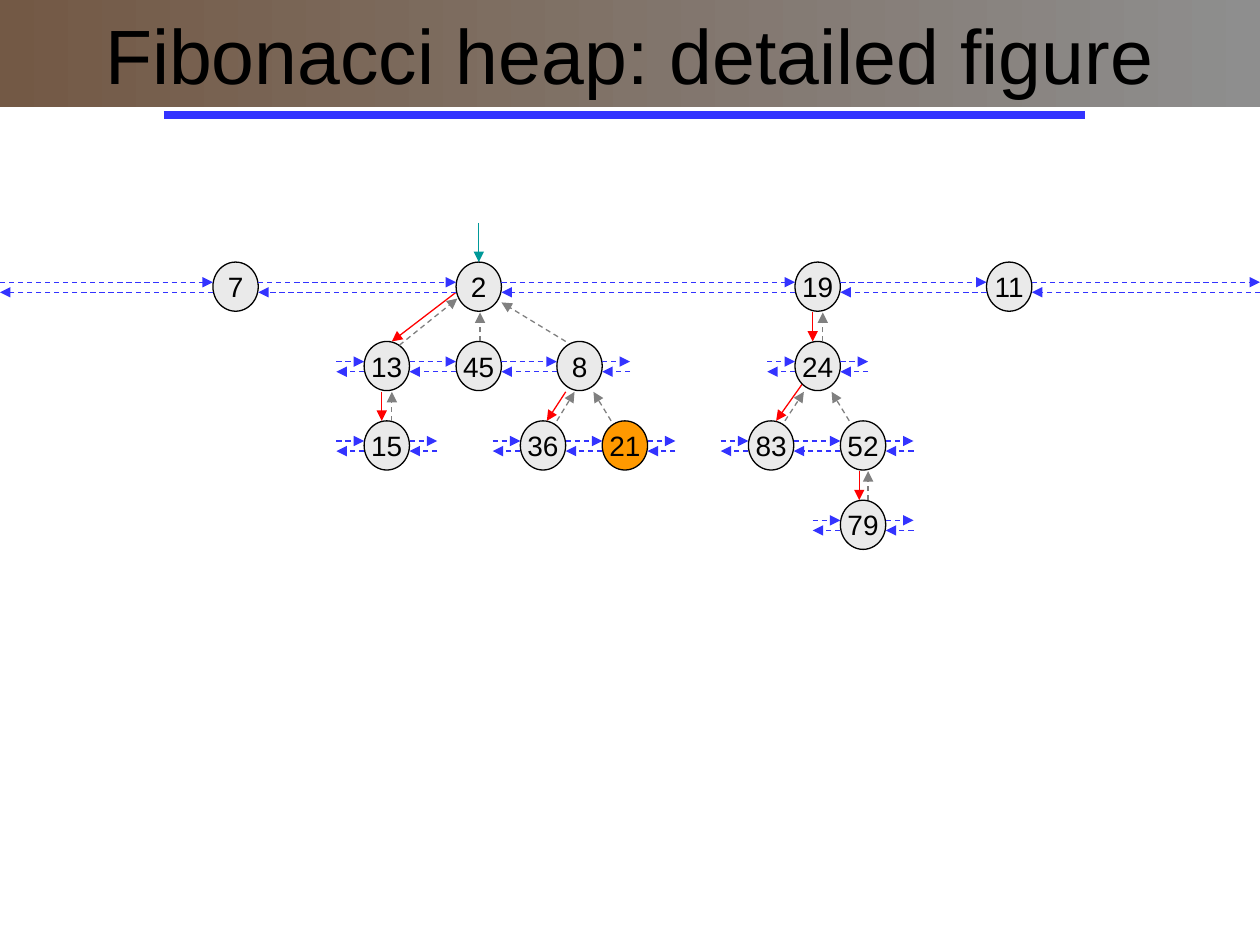
from lxml import etree
from pptx import Presentation
from pptx.dml.color import RGBColor
from pptx.enum import dml, shapes, text
from pptx.oxml.ns import qn
from pptx.util import Inches, Pt

COLORS = {
    "ink": "000000",
    "node": "EAEAEA",
    "highlight": "FF9900",
    "sibling": "3333FF",
    "parent": "808080",
    "child": "FF0000",
    "minimum": "009999",
    "band_right": "8E8E8E",
    "band_left": "735945",
}
NODE_W, NODE_H = 0.36, 0.39
ROW_TOP, ROW_STEP = 2.08, 0.63
STUB = 0.22  # length of the open links at both ends of a sibling list

prs = Presentation()
prs.slide_width, prs.slide_height = Inches(10), Inches(7.5)
slide = prs.slides.add_slide(prs.slide_layouts[6])


def add_line(start, end, color, width=0.75, dashed=False, arrow=True):
    """Draw a straight line, with its arrowhead at the end point."""
    line = slide.shapes.add_connector(
        shapes.MSO_CONNECTOR.STRAIGHT, *(Inches(v) for v in (*start, *end)))
    line.line.color.rgb = RGBColor.from_string(COLORS[color])
    line.line.width = Pt(width)
    if dashed:
        line.line.dash_style = dml.MSO_LINE.DASH
    properties = line._element.spPr
    if arrow:
        etree.SubElement(properties.find(qn("a:ln")), qn("a:tailEnd"), type="triangle")
    etree.SubElement(properties, qn("a:effectLst"))


def add_label_shape(kind, box, label, size):
    shape = slide.shapes.add_shape(kind, *(Inches(v) for v in box))
    shape.shadow.inherit = False
    frame = shape.text_frame
    frame.vertical_anchor = text.MSO_ANCHOR.MIDDLE
    frame.word_wrap = kind == shapes.MSO_SHAPE.RECTANGLE
    paragraph = frame.paragraphs[0]
    paragraph.text = label
    paragraph.alignment = text.PP_ALIGN.CENTER
    paragraph.font.name = "Arial"
    paragraph.font.size = Pt(size)
    paragraph.font.color.rgb = RGBColor.from_string(COLORS["ink"])
    return shape


# Title band with its underline
title = add_label_shape(shapes.MSO_SHAPE.RECTANGLE, (0, 0, 10, 0.85),
                        "Fibonacci heap: detailed figure", 44)
title.line.fill.background()
title.fill.gradient()
title.fill.gradient_angle = 180
for stop, color, position in zip(title.fill.gradient_stops,
                                 ("band_right", "band_left"), (0, 1)):
    stop.color.rgb = RGBColor.from_string(COLORS[color])
    stop.position = position
add_line((1.3, 0.91), (8.61, 0.91), "sibling", width=4.5, arrow=False)

# Pointers from a parent to one child
child_pointers = [
    ((3.62, 2.32), (3.11, 2.71)),
    ((6.45, 2.48), (6.45, 2.71)),
    ((3.03, 3.11), (3.03, 3.34)),
    ((4.49, 3.11), (4.34, 3.34)),
    ((6.38, 3.03), (6.16, 3.34)),
    ((6.82, 3.74), (6.82, 3.97)),
]
for parent, child in child_pointers:
    add_line(parent, child, "child")

# Sibling lists: row, {key: left edge}
sibling_lists = [
    (0, {"7": 1.69, "2": 3.62, "19": 6.31, "11": 7.83}),
    (1, {"13": 2.89, "45": 3.62, "8": 4.42}),
    (1, {"24": 6.31}),
    (2, {"15": 2.89}),
    (2, {"36": 4.13, "21": 4.78}),
    (2, {"83": 5.94, "52": 6.67}),
    (3, {"79": 6.67}),
]
for row, siblings in sibling_lists:
    top = ROW_TOP + row * ROW_STEP
    for key, left in siblings.items():
        node = add_label_shape(shapes.MSO_SHAPE.OVAL, (left, top, NODE_W, NODE_H), key, 16)
        node.fill.solid()
        node.fill.fore_color.rgb = RGBColor.from_string(
            COLORS["highlight" if key == "21" else "node"])
        node.line.color.rgb = RGBColor.from_string(COLORS["ink"])
        node.line.width = Pt(0.75)

    lefts = list(siblings.values())
    rights = [left + NODE_W for left in lefts]
    first, last = (0, 10) if row == 0 else (lefts[0] - STUB, rights[-1] + STUB)
    for gap_start, gap_end in zip([first] + rights, lefts + [last]):
        add_line((gap_start, top + 0.16), (gap_end, top + 0.16), "sibling", dashed=True)
        add_line((gap_end, top + 0.24), (gap_start, top + 0.24), "sibling", dashed=True)

# Pointers from each child to its parent
parent_pointers = [
    ((3.17, 2.74), (3.63, 2.37)),
    ((3.81, 2.71), (3.81, 2.48)),
    ((4.49, 2.71), (3.98, 2.4)),
    ((6.53, 2.71), (6.53, 2.48)),
    ((3.11, 3.34), (3.11, 3.11)),
    ((4.42, 3.34), (4.56, 3.11)),
    ((4.85, 3.34), (4.71, 3.11)),
    ((6.23, 3.34), (6.38, 3.11)),
    ((6.74, 3.34), (6.6, 3.11)),
    ((6.89, 3.97), (6.89, 3.74)),
]
for child, parent in parent_pointers:
    add_line(child, parent, "parent", dashed=True)

# Pointer to the minimum
add_line((3.8, 1.77), (3.8, 2.08), "minimum")

prs.save("out.pptx")
